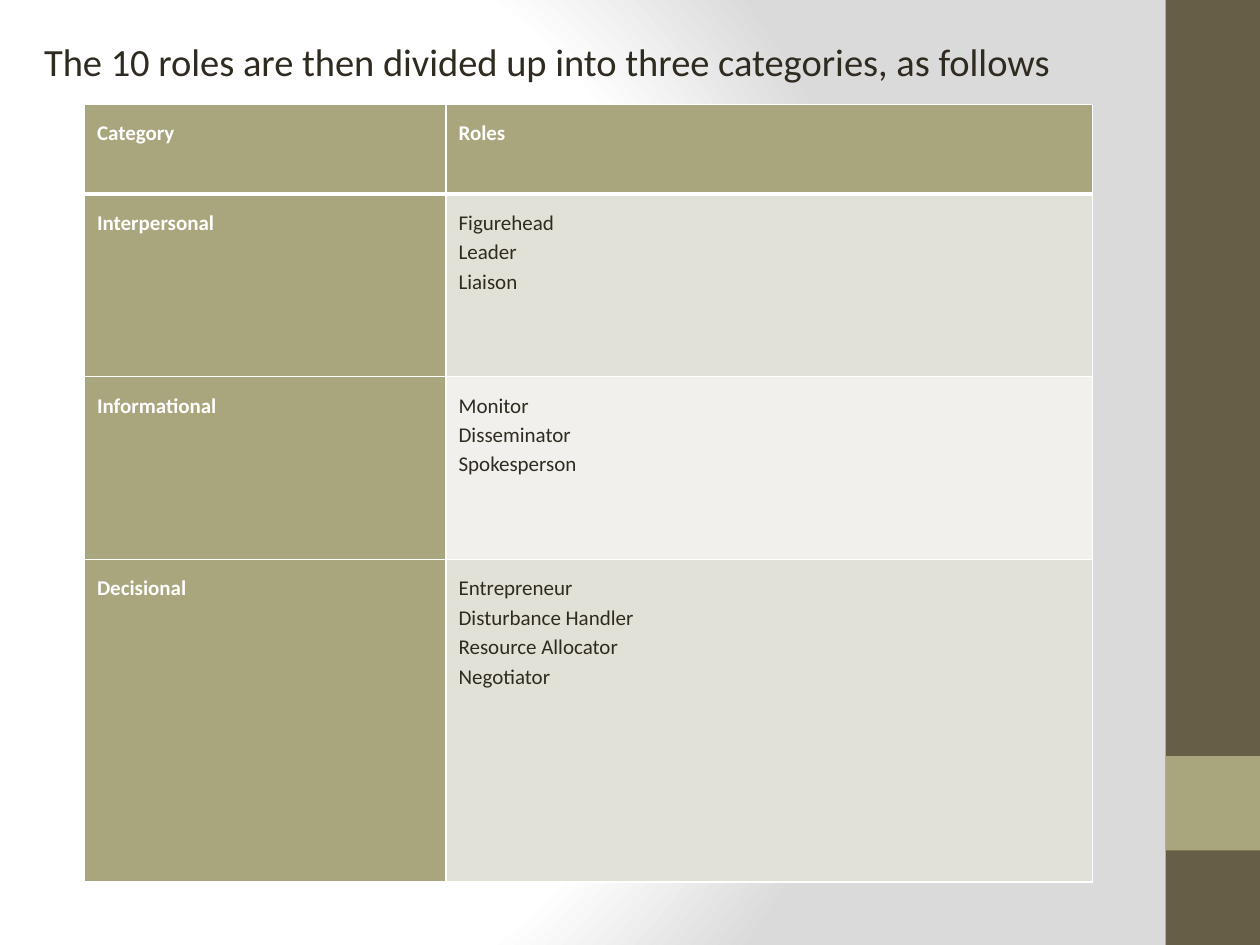
from lxml import etree
from pptx import Presentation
from pptx import util as u
from pptx.dml.color import RGBColor
from pptx.enum import shapes, text
from pptx.oxml import parse_xml
from pptx.oxml.ns import nsdecls, qn

WHITE, INK, OLIVE, BROWN = "FFFFFF", "2F2B20", "A9A57C", "675E47"
BANDS = ["E2E1D7", "F1F0EC"]


def paint(target, color):
    """Give a fill a solid colour."""
    target.solid()
    target.fore_color.rgb = RGBColor.from_string(color)


def style_text(frame, paragraph_format, font_format, color):
    """Apply format values to every paragraph of a text frame."""
    for paragraph in frame.paragraphs:
        for name, value in paragraph_format.items():
            setattr(paragraph, name, value)
        for run in paragraph.runs:
            for name, value in font_format.items():
                setattr(run.font, name, value)
            run.font.color.rgb = RGBColor.from_string(color)


presentation = Presentation()
presentation.slide_width = width = u.Inches(10)
presentation.slide_height = height = u.Inches(7.5)
slide = presentation.slides.add_slide(presentation.slide_layouts[1])
slide.shapes.title.element.getparent().remove(slide.shapes.title.element)

# Background: circular gradient
paint(slide.background.fill, WHITE)
solid = slide.element.find(".//" + qn("p:bgPr")).find(qn("a:solidFill"))
stops = "".join(
    f'<a:gs pos="{share * 1000}"><a:srgbClr val="{color}"/></a:gs>'
    for share, color in [(0, WHITE), (75, WHITE), (100, "DADADA")])
solid.getparent().replace(solid, parse_xml(
    f'<a:gradFill {nsdecls("a")} rotWithShape="1"><a:gsLst>{stops}</a:gsLst>'
    '<a:path path="circle"><a:fillToRect l="20000" t="50000" r="100000" b="50000"/>'
    '</a:path></a:gradFill>'))

# Side band with its square accent
band_width = u.Inches(0.75)
for top, band_height, color in [(0, height, BROWN), (u.Inches(6), band_width, OLIVE)]:
    band = slide.shapes.add_shape(shapes.MSO_SHAPE.RECTANGLE, width - band_width, top,
                                  band_width, band_height)
    band.shadow.inherit = False
    band.line.fill.background()
    paint(band.fill, color)

# Introductory line
intro = slide.placeholders[1]
intro.left, intro.top = u.Inches(0.25), u.Inches(0.25)
intro.width, intro.height = u.Inches(9.25), u.Inches(6.45)
frame = intro.text_frame
frame.text = "The 10 roles are then divided up into three categories, as follows"
frame.auto_size = text.MSO_AUTO_SIZE.NONE
frame.vertical_anchor = text.MSO_ANCHOR.TOP
style_text(frame, {"space_before": u.Pt(4.4)},
           {"name": "Calibri", "size": u.Pt(22)}, INK)
properties = frame.paragraphs[0]._p.get_or_add_pPr()
properties.set("marL", "0")
properties.set("indent", "0")
etree.SubElement(properties, qn("a:buNone"))

# Table of categories and roles
rows = [
    ("Category", ["Roles"], 0.71),
    ("Interpersonal", ["Figurehead", "Leader", "Liaison"], 1.45),
    ("Informational", ["Monitor", "Disseminator", "Spokesperson"], 1.45),
    ("Decisional", ["Entrepreneur", "Disturbance Handler", "Resource Allocator",
                    "Negotiator"], 2.56),
]
table = slide.shapes.add_table(len(rows), 2, u.Inches(0.67), u.Inches(0.83),
                               u.Inches(8), u.Inches(6.17)).table
table.first_col = True
for column, column_width in zip(table.columns, [2.87, 5.13]):
    column.width = u.Inches(column_width)

for row_index, (category, roles, row_height) in enumerate(rows):
    table.rows[row_index].height = u.Inches(row_height)
    for column_index, lines in enumerate([[category], roles]):
        cell = table.cell(row_index, column_index)
        is_heading = row_index == 0 or column_index == 0
        for side in ["left", "top", "right", "bottom"]:
            setattr(cell, f"margin_{side}", u.Inches(0.1))
        cell.text_frame.text = "\v".join(lines)
        style_text(cell.text_frame, {"line_spacing": 1.15},
                   {"name": "Calibri", "size": u.Pt(12), "bold": is_heading},
                   WHITE if is_heading else INK)

        # White borders, thicker under the header row
        for side in "LRTB":
            under_header = (row_index, side) in [(0, "B"), (1, "T")]
            cell._tc.get_or_add_tcPr().append(parse_xml(
                f'<a:ln{side} {nsdecls("a")} w="{u.Pt(3 if under_header else 1)}">'
                f'<a:solidFill><a:srgbClr val="{WHITE}"/></a:solidFill></a:ln{side}>'))
        paint(cell.fill, OLIVE if is_heading else BANDS[(row_index - 1) % 2])

presentation.save("out.pptx")
